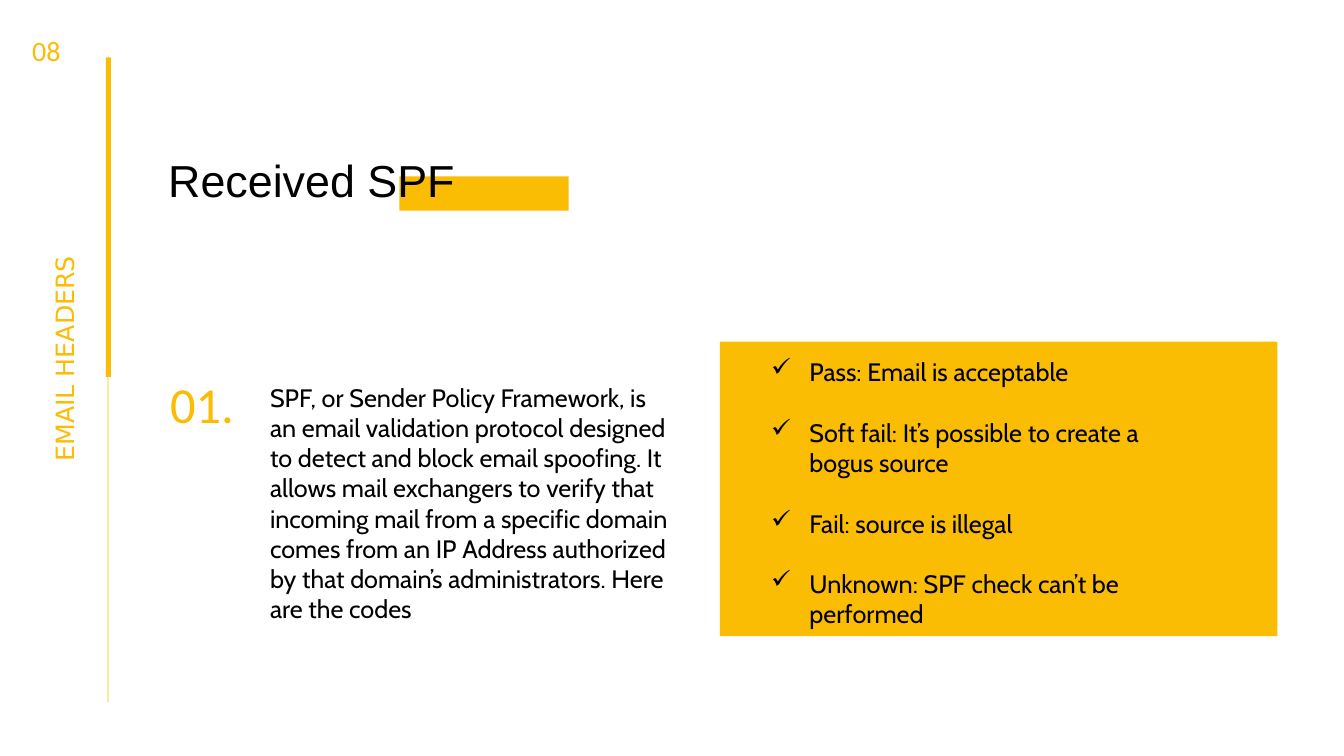
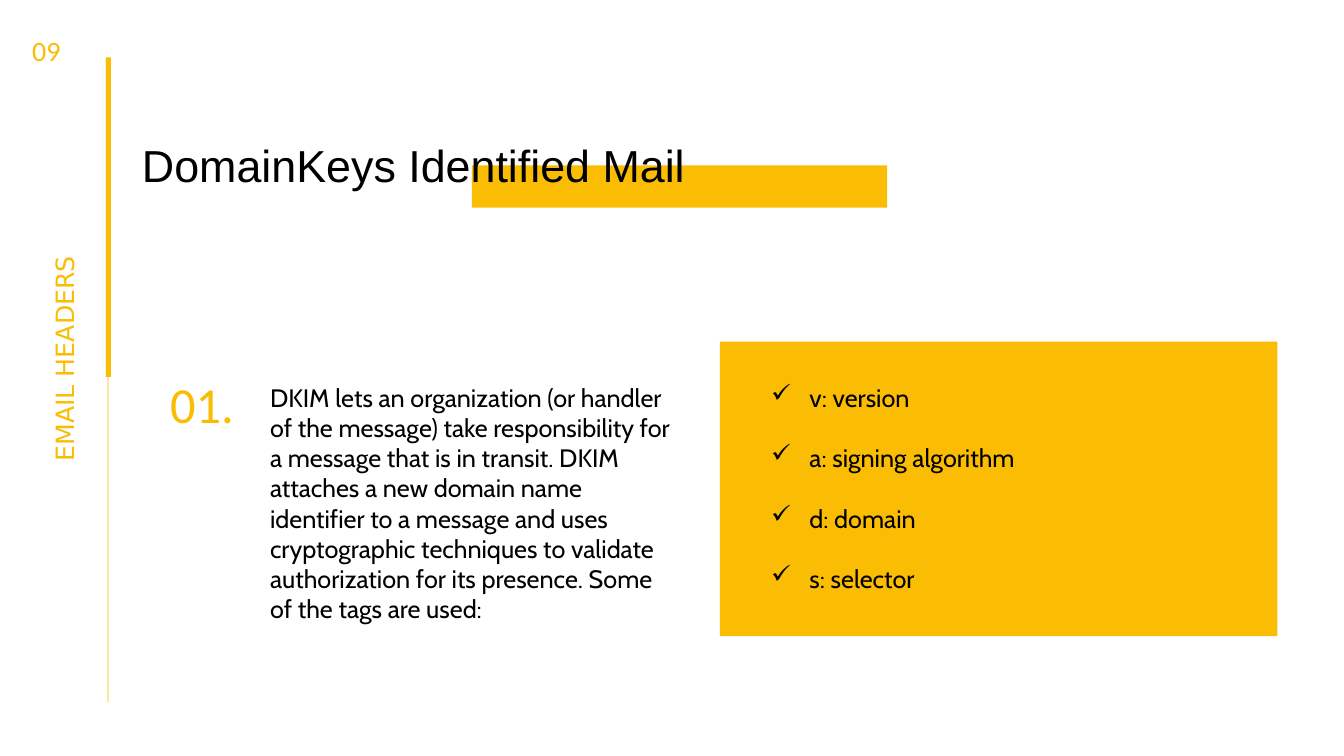
from lxml.etree import SubElement
from pptx import Presentation
from pptx.dml.color import RGBColor
from pptx.enum.shapes import MSO_CONNECTOR, MSO_SHAPE
from pptx.enum.text import MSO_AUTO_SIZE
from pptx.oxml.ns import qn
from pptx.util import Inches, Pt

GOLD, PALE, BLACK = "FABD04", "FDE7A1", "000000"
SECTION = "EMAIL HEADERS"
FIRST_PAGE = 8

STYLES = {
    "section": {"name": "DejaVu Sans", "size": 18, "color": GOLD},
    "page": {"name": "Calibri", "size": 20, "color": GOLD},
    "title": {"name": "Arial", "size": 32, "color": BLACK},
    "number": {"name": "Calibri", "size": 36, "color": GOLD},
    "body": {"name": "Cabin", "size": 18, "color": BLACK},
}

SLIDES = [
    {
        "title": "Received SPF",
        "title_at": (1.57, 1.47, 3.87, 0.64),
        "accent_at": (3.96, 1.75, 1.68, 0.34),
        "body": "SPF, or Sender Policy Framework, is an email validation protocol "
                "designed to detect and block email spoofing. It allows mail "
                "exchangers to verify that incoming mail from a specific domain "
                "comes from an IP Address authorized by that domain’s "
                "administrators. Here are the codes",
        "checks": [
            "Pass: Email is acceptable",
            "Soft fail: It’s possible to create a bogus source",
            "Fail: source is illegal",
            "Unknown: SPF check can’t be performed",
        ],
        "checks_at": (7.55, 3.49, 4.19, 2.83),
    },
    {
        "title": "DomainKeys Identified Mail",
        "title_at": (1.31, 1.32, 7.3, 0.64),
        "accent_at": (4.68, 1.64, 4.12, 0.42),
        "body": "DKIM lets an organization (or handler of the message) take "
                "responsibility for a message that is in transit. DKIM attaches "
                "a new domain name identifier to a message and uses "
                "cryptographic techniques to validate authorization for its "
                "presence. Some of the tags are used:",
        "checks": ["v: version", "a: signing algorithm", "d: domain", "s: selector"],
        "checks_at": (7.55, 3.74, 4.19, 2.22),
    },
]


def rgb(color):
    return RGBColor.from_string(color)


def add_bar(shapes, at):
    sp = shapes.add_shape(MSO_SHAPE.RECTANGLE, *map(Inches, at))
    sp.shadow.inherit = False
    sp.fill.solid()
    sp.fill.fore_color.rgb = rgb(GOLD)
    sp.line.fill.background()


def add_check(p):
    pPr = p._p.get_or_add_pPr()
    pPr.set("marL", str(Inches(0.38)))
    pPr.set("indent", str(-Inches(0.38)))
    SubElement(pPr, qn("a:buChar")).set("char", "✓")


def add_text(shapes, at, style, lines, checked=False):
    sp = shapes.add_textbox(*map(Inches, at))
    tf = sp.text_frame
    tf.word_wrap = True
    tf.auto_size = MSO_AUTO_SIZE.SHAPE_TO_FIT_TEXT
    for i, line in enumerate(lines):
        p = tf.add_paragraph() if i else tf.paragraphs[0]
        if checked:
            add_check(p)
        if i:
            p.space_before = Pt(21.6)
        r = p.add_run()
        r.text = line
        for key, value in STYLES[style].items():
            if key == "color":
                r.font.color.rgb = rgb(value)
            else:
                setattr(r.font, key, Pt(value) if key == "size" else value)
    return sp


def add_frame(s, page):
    add_bar(s.shapes, (1.05, 0.57, 0.05, 3.17))
    rail = s.shapes.add_connector(
        MSO_CONNECTOR.STRAIGHT, *map(Inches, (1.07, 3.74, 1.07, 6.96)))
    rail.line.color.rgb = rgb(PALE)
    rail.line.width = Pt(1.5)
    SubElement(rail._element.spPr, qn("a:effectLst"))
    add_text(s.shapes, (-0.91, 2.93, 3.09, 0.4), "section", [SECTION]).rotation = 270
    add_text(s.shapes, (0.22, 0.28, 0.65, 0.44), "page", [f"{page:02d}"])


def add_slide(prs, page, content):
    s = prs.slides.add_slide(prs.slide_layouts[6])
    add_frame(s, page)
    add_bar(s.shapes, content["accent_at"])
    add_text(s.shapes, content["title_at"], "title", [content["title"]])
    add_bar(s.shapes, (7.14, 3.39, 5.53, 2.92))
    item = s.shapes.add_group_shape()
    add_text(item.shapes, (1.59, 3.65, 1, 0.71), "number", ["01."])
    add_text(item.shapes, (2.58, 3.74, 4.19, 2.52), "body", [content["body"]])
    add_text(s.shapes, content["checks_at"], "body", content["checks"], checked=True)


def main():
    prs = Presentation()
    prs.slide_width, prs.slide_height = Inches(13.33), Inches(7.5)
    for page, content in enumerate(SLIDES, FIRST_PAGE):
        add_slide(prs, page, content)
    prs.save("out.pptx")


if __name__ == "__main__":
    main()
